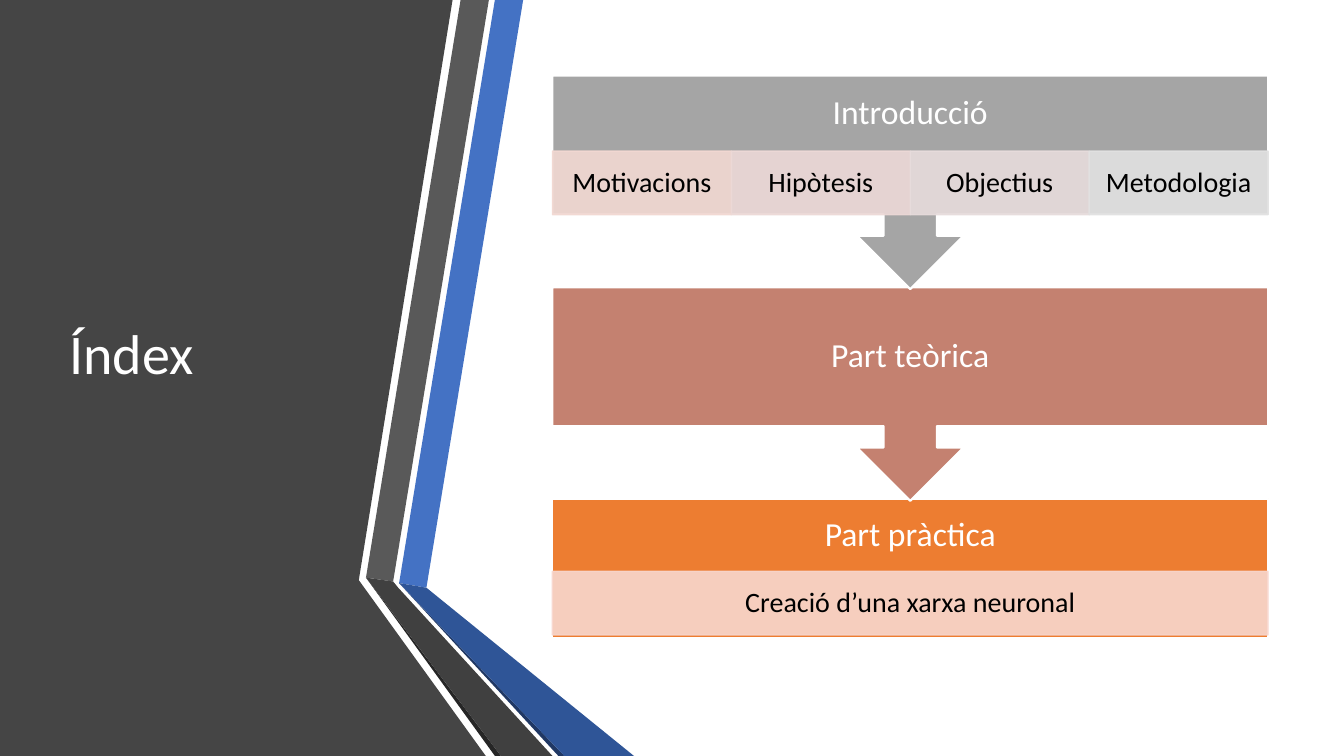
from dataclasses import dataclass
from lxml.etree import SubElement
from pptx import Presentation
from pptx.dml.color import RGBColor as RGB
from pptx.enum.shapes import MSO_SHAPE as Kind
from pptx.enum.text import MSO_ANCHOR as Anchor, MSO_AUTO_SIZE as Fit, PP_ALIGN as Align
from pptx.oxml.ns import qn
from pptx.util import Pt


@dataclass(frozen=True)
class Theme:
    """Colours, font and type sizes."""
    font: str = "Calibri"
    title: int = 40
    head: int = 24
    item: int = 20
    light: str = "FFFFFF"
    dark: str = "000000"
    panel: str = "454545"
    grey: str = "595959"
    blue: str = "4472C4"
    shade: str = "262626"
    navy: str = "203864"
    deep: str = "2F5597"
    coal: str = "404040"


T = Theme()
WIDE, HIGH = 960, 540
TITLE = "Índex"
# heading, fill, height of heading row, [(item, fill)]
PARTS = [
    ("Introducció", "A5A5A5", 54, [
        ("Motivacions", "F2D8D2"), ("Hipòtesis", "EDD9D7"),
        ("Objectius", "E7DCDC"), ("Metodologia", "E1E1E1")]),
    ("Part teòrica", "C48170", 99.4, []),
    ("Part pràctica", "ED7D31", 51.8, [("Creació d’una xarxa neuronal", "F8D7CE")]),
]
# corners where the bands fold
GREY_IN, GREY_OUT = (261.4, 412.6), (280.8, 415.4)
BLUE_IN, BLUE_OUT = (285.1, 416.5), (304.6, 419.8)
BANDS = [
    (T.panel, [(0, 0), (323.3, 0), (256.3, 414.4), (347, HIGH), (0, HIGH)]),
    (T.blue, [BLUE_IN, BLUE_OUT, (373.7, 0), (353.5, 0)]),
    (T.grey, [GREY_IN, GREY_OUT, (349.2, 0), (329, 0)]),
    (T.shade, [GREY_IN, (353.5, HIGH), (357.8, HIGH)]),
    (T.navy, [BLUE_IN, (398.9, HIGH), (403.2, HIGH)]),
    (T.deep, [BLUE_IN, (403.2, HIGH), (452.9, HIGH), BLUE_OUT]),
    (T.coal, [GREY_IN, (357.8, HIGH), (394.6, HIGH), (284.4, 419.8), GREY_OUT]),
]
LEFT, TOP, SPAN = 394.6, 54, 511.2
STEP, BODY, CALL = 151.2, 99.4, 152.6
ROW, EDGE = 45.4, 13.7


def put(obj, **vals):
    """Set several attributes of one object."""
    for name, val in vals.items():
        setattr(obj, name, val)


def paint(shape, fill, line=None, wide=0, alpha=None):
    """Give a shape its fill, outline and opacity."""
    shape.shadow.inherit = False
    shape.fill.solid()
    shape.fill.fore_color.rgb = RGB.from_string(fill)
    if line:
        shape.line.color.rgb = RGB.from_string(line)
        shape.line.width = Pt(wide)
    else:
        shape.line.fill.background()
    if alpha:
        for tone in list(shape.element.spPr.iter(qn("a:srgbClr"))):
            SubElement(tone, qn("a:alpha")).set("val", str(alpha * 1000))


def write(shape, text, size, color, align=Align.CENTER, pads=(7.2, 3.6, 7.2, 3.6)):
    """Write one line of text; pads run left, top, right, bottom."""
    frame = shape.text_frame
    left, top, right, low = map(Pt, pads)
    put(frame, text=text, word_wrap=True, auto_size=Fit.NONE,
        vertical_anchor=Anchor.MIDDLE, margin_left=left, margin_top=top,
        margin_right=right, margin_bottom=low)
    para = frame.paragraphs[0]
    put(para, alignment=align, line_spacing=0.9)
    font = para.runs[0].font
    put(font, name=T.font, size=Pt(size))
    font.color.rgb = RGB.from_string(color)


def band(shapes, fill, spots):
    """Draw one closed outline."""
    spots = [(Pt(x), Pt(y)) for x, y in spots]
    pen = shapes.build_freeform(*spots[0])
    pen.add_line_segments(spots[1:], close=True)
    paint(pen.convert_to_shape(), fill)


def part(shapes, rank, head, fill, drop, items):
    """Draw one part with its row of items."""
    last = rank == len(PARTS) - 1
    kind, tall = (Kind.RECTANGLE, BODY) if last else (Kind.DOWN_ARROW_CALLOUT, CALL)
    top = TOP + rank * STEP
    box = shapes.add_shape(kind, Pt(LEFT), Pt(top), Pt(SPAN), Pt(tall))
    paint(box, fill, T.light, 1.5)
    write(box, head, T.head, T.light, pads=(EDGE, EDGE, EDGE, EDGE + BODY - drop))
    for col, (text, tint) in enumerate(items):
        wide = SPAN / len(items)
        cell = shapes.add_shape(Kind.RECTANGLE, Pt(LEFT + col * wide),
                                Pt(top + drop), Pt(wide), Pt(ROW))
        paint(cell, tint, tint, 1, alpha=90)
        write(cell, text, T.item, T.dark, pads=(11, 2, 11, 2))


deck = Presentation()
put(deck, slide_width=Pt(WIDE), slide_height=Pt(HIGH))
slide = deck.slides.add_slide(deck.slide_layouts[5])
shapes = slide.shapes

for fill, spots in BANDS:
    band(shapes, fill, spots)

title = shapes.title
put(title, left=Pt(42.5), top=Pt(54), width=Pt(218.9), height=Pt(401.8))
write(title, TITLE, T.title, T.light, Align.LEFT)
title.element.getparent().append(title.element)

# last part first, so that each arrow tip lies over the part below it
for rank, row in reversed(list(enumerate(PARTS))):
    part(shapes, rank, *row)

deck.save("out.pptx")
